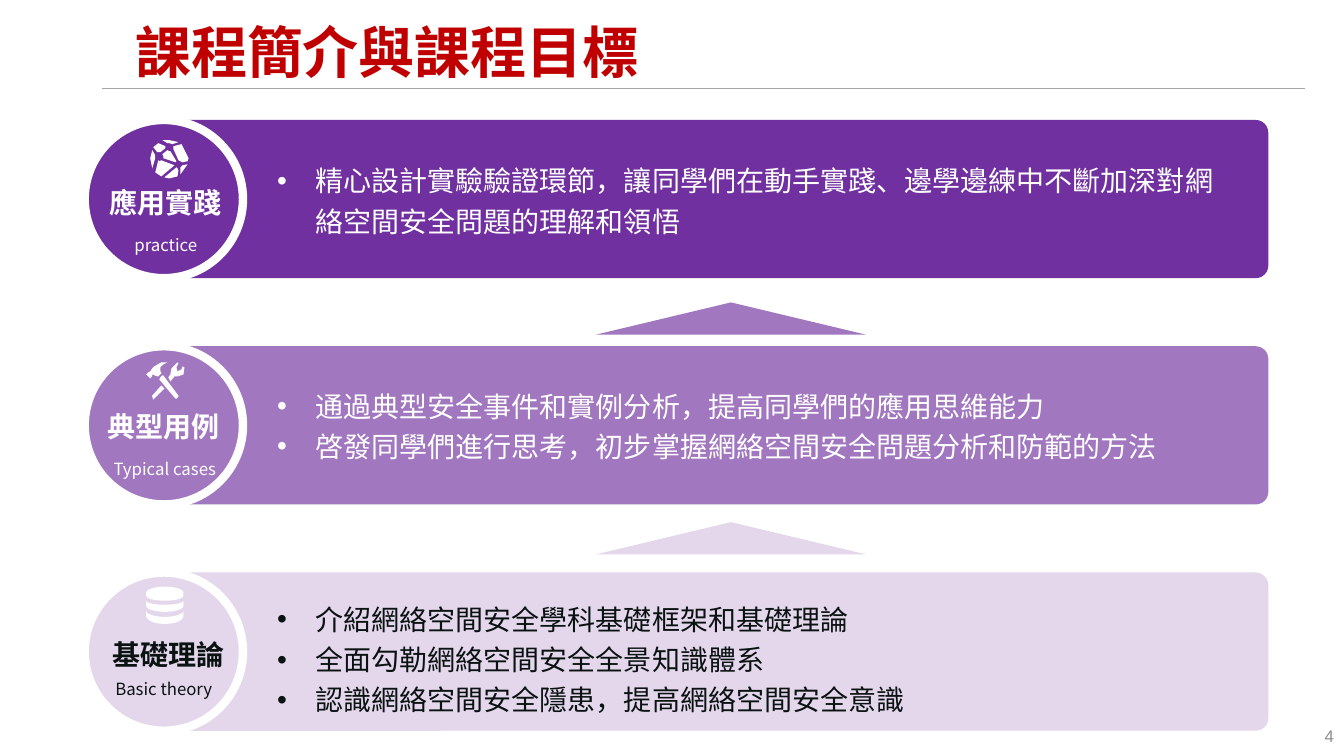
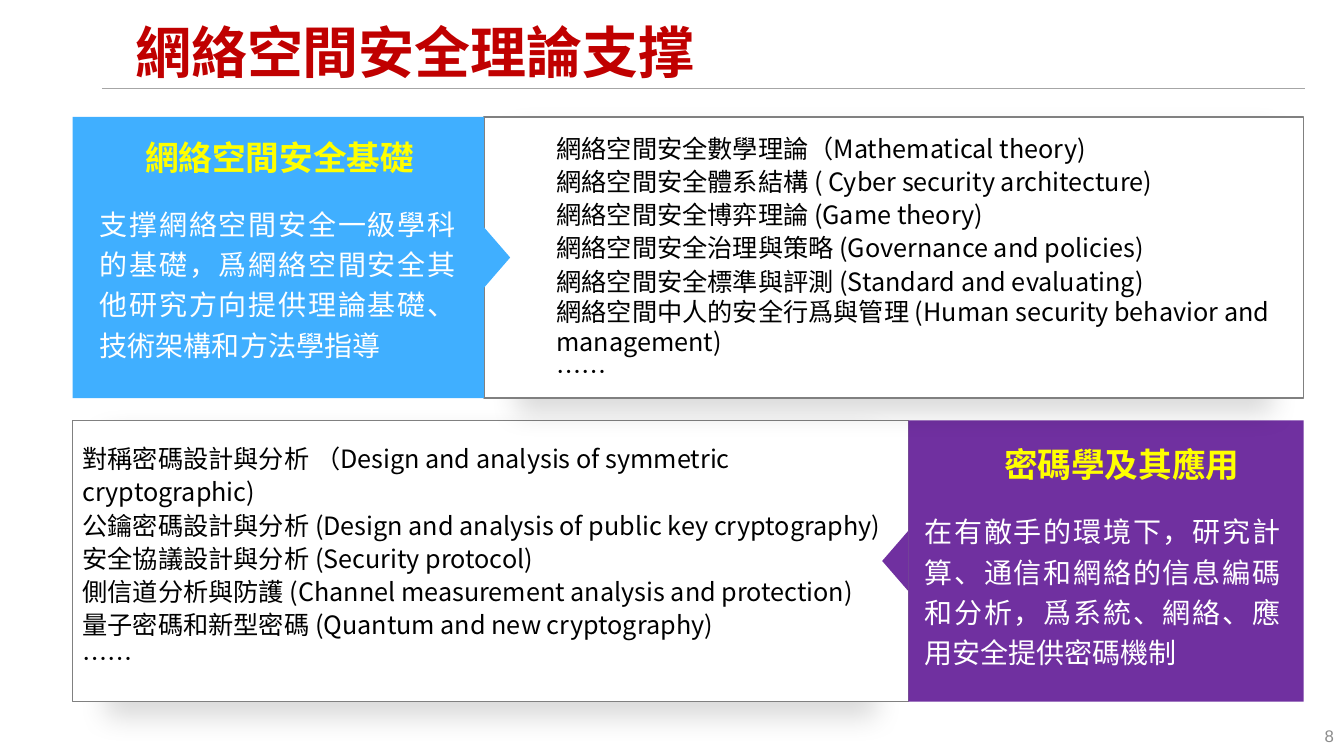
from dataclasses import dataclass
from math import cos, pi, sin

from lxml.etree import SubElement
from pptx import Presentation
from pptx.dml.color import RGBColor
from pptx.enum.shapes import MSO_CONNECTOR, MSO_SHAPE
from pptx.enum.text import MSO_ANCHOR, MSO_AUTO_SIZE, PP_ALIGN
from pptx.oxml.ns import qn
from pptx.util import Inches, Pt

SANS, LATIN = "Noto Sans CJK SC", "Arial"
RED, PURPLE, MAUVE, LILAC = "C00000", "7030A0", "A177BF", "E4D7EC"
BLUE, YELLOW, WHITE, BLACK, INK = "40AFFF", "FFFF00", "FFFFFF", "000000", "0A1312"
RULE_GREY, FRAME_GREY, NUMBER_GREY = "A6A6A6", "808080", "8C8C8C"
LEFT, CENTER, RIGHT, JUSTIFY = (
    PP_ALIGN.LEFT, PP_ALIGN.CENTER, PP_ALIGN.RIGHT, PP_ALIGN.JUSTIFY)


@dataclass
class Box:
    """A region on a grid whose columns and rows are one inch."""
    left: float
    top: float
    width: float
    height: float

    def inner(self, across, down, width, height):
        return Box(self.left + across, self.top + down, width, height)

    def lengths(self):
        return [Inches(n) for n in (self.left, self.top, self.width, self.height)]


SLIDE = Box(0, 0, 13.33, 7.5)


def color(code):
    return RGBColor.from_string(code)


def add_span(para, text, size, code, bold=False, font=SANS):
    span = para.add_run()
    span.text = text
    span.font.size, span.font.bold = Pt(size), bold
    span.font.name = font
    span.font.color.rgb = color(code)
    SubElement(span.font._element, qn("a:ea")).set("typeface", SANS)


def add_bullet(para):
    properties = para._p.get_or_add_pPr()
    properties.set("marL", str(Inches(0.38)))
    properties.set("indent", str(-Inches(0.38)))
    SubElement(properties, qn("a:buFont")).set("typeface", LATIN)
    SubElement(properties, qn("a:buChar")).set("char", "•")


def add_text(page, box, lines, size, code, bold=False, font=SANS, align=LEFT,
             spacing=1.0, tight=0, bullets=False, inset=True, anchor=MSO_ANCHOR.TOP):
    """Write one paragraph a line; the last `tight` ones are single spaced."""
    frame = page.shapes.add_textbox(*box.lengths()).text_frame
    frame.word_wrap = True
    frame.vertical_anchor = anchor
    if not inset:
        frame.margin_left = frame.margin_right = 0
        frame.margin_top = frame.margin_bottom = 0
    for index, line in enumerate(lines):
        para = frame.add_paragraph() if index else frame.paragraphs[0]
        if bullets:
            add_bullet(para)
        para.alignment = align
        para.line_spacing = spacing if index < len(lines) - tight else 1.0
        add_span(para, line, size, code, bold, font)


def add_block(page, kind, box, fill, line=None, line_width=1):
    block = page.shapes.add_shape(kind, *box.lengths())
    block.shadow.inherit = False
    block.fill.solid()
    block.fill.fore_color.rgb = color(fill)
    if line:
        block.line.color.rgb = color(line)
        block.line.width = Pt(line_width)
    else:
        block.line.fill.background()
    return block


def add_soft_shadow(block):
    effects = block._element.spPr.find(qn("a:effectLst"))
    shadow = SubElement(effects, qn("a:outerShdw"), blurRad=str(Pt(20)), dist=str(Pt(10)),
                        dir="5400000", sx="92000", algn="b", rotWithShape="0")
    tint = SubElement(shadow, qn("a:srgbClr"), val=BLACK)
    SubElement(tint, qn("a:alpha"), val="15000")


def add_page(deck, title, number):
    page = deck.slides.add_slide(deck.slide_layouts[5])
    rule = page.shapes.add_connector(
        MSO_CONNECTOR.STRAIGHT, Inches(1.01), Inches(0.88), Inches(12.94), Inches(0.88))
    rule.line.color.rgb = color(RULE_GREY)
    rule.line.width = Pt(1)
    SubElement(rule._element.spPr, qn("a:effectLst"))

    heading = page.shapes.title
    heading.left, heading.top, heading.width, heading.height = (
        SLIDE.inner(1.24, 0.15, 11.18, 0.79).lengths())
    frame = heading.text_frame
    frame.auto_size = MSO_AUTO_SIZE.NONE
    frame.vertical_anchor = MSO_ANCHOR.MIDDLE
    para = frame.paragraphs[0]
    para.alignment, para.line_spacing = LEFT, 0.9
    add_span(para, title, 40, RED, True)

    add_text(page, SLIDE.inner(10.33, 7.1, 3, 0.4), [number], 12, NUMBER_GREY,
             font=LATIN, align=RIGHT, anchor=MSO_ANCHOR.MIDDLE)
    return page


# Icon outlines, in hundredths of a column from the icon's corner.
GLOBE = [
    [(9, 12), (10, 12), (15, 8), (15, 7), (15, 6), (8, 3), (3, 7), (7, 12)],
    [(5, 16), (5, 15), (2, 10), (0, 18), (2, 28), (5, 18)],
    [(19, 3), (22, 4), (28, 2), (19, 0), (12, 0), (17, 3)],
    [(25, 22), (26, 21), (20, 11), (19, 11), (17, 10), (12, 14), (13, 16), (13, 18)],
    [(30, 27), (30, 30), (30, 34), (37, 24), (32, 25)],
    [(24, 25), (11, 20), (9, 21), (8, 20), (5, 32), (11, 36)],
    [(31, 4), (23, 6), (23, 7), (23, 9), (28, 20), (32, 22), (37, 21), (38, 18)],
    [(26, 27), (14, 37), (19, 38), (27, 36), (28, 30), (27, 28)],
]
TOOLS = [
    [(6, 12), (11, 14), (12, 14), (15, 11), (15, 10), (14, 9), (14, 5), (17, 2),
     (21, 0), (15, 0), (8, 4), (6, 6), (4, 9), (2, 10), (0, 12), (3, 15), (4, 16), (6, 14)],
    [(17, 13), (16, 13), (14, 15), (13, 17), (29, 36), (30, 36), (32, 34), (32, 33)],
    [(38, 5), (36, 4), (35, 7), (31, 9), (30, 5), (32, 1), (31, 0), (25, 6),
     (24, 12), (22, 15), (24, 19), (28, 14), (31, 14), (37, 12)],
    [(6, 33), (6, 34), (7, 37), (8, 36), (18, 26), (15, 23)],
]


def arc(level, bulge, steps=16):
    angles = [pi * step / steps for step in range(steps + 1)]
    return [(18.5 - 18.5 * cos(angle), level + bulge * sin(angle)) for angle in angles]


DISKS = [arc(top, rise) + arc(bottom, sag)[::-1]
         for top, rise, bottom, sag in ((6, -6, 9, 5), (14, 4, 19, 6), (24, 6, 29, 8))]


def add_icon(page, outlines, box):
    scaled = [[(10 * x, 10 * y) for x, y in outline] for outline in outlines]
    builder = page.shapes.build_freeform(*scaled[0][0], scale=Inches(0.001))
    for index, outline in enumerate(scaled):
        if index:
            builder.move_to(*outline[0])
        builder.add_line_segments(outline[1:], close=True)
    icon = builder.convert_to_shape(Inches(box.left), Inches(box.top))
    icon.shadow.inherit = False
    icon.fill.solid()
    icon.fill.fore_color.rgb = color(WHITE)
    icon.line.fill.background()


@dataclass
class Level:
    name: str
    caption: str
    points: list
    fill: str
    ink: str
    icon: list
    icon_at: tuple
    name_at: tuple
    caption_at: tuple
    points_top: float


LEVELS = [
    Level("應用實踐", "practice",
          ["精心設計實驗驗證環節，讓同學們在動手實踐、邊學邊練中不斷加深對網絡空間安全問題的理解和領悟"],
          PURPLE, WHITE, GLOBE, (0.65, 0.2), (0.02, 0.6), (0.02, 1.09), 0.32),
    Level("典型用例", "Typical cases",
          ["通過典型安全事件和實例分析，提高同學們的應用思維能力",
           "啓發同學們進行思考，初步掌握網絡空間安全問題分析和防範的方法"],
          MAUVE, WHITE, TOOLS, (0.61, 0.16), (0, 0.58), (0.01, 1.07), 0.31),
    Level("基礎理論", "Basic theory",
          ["介紹網絡空間安全學科基礎框架和基礎理論", "全面勾勒網絡空間安全全景知識體系",
           "認識網絡空間安全隱患，提高網絡空間安全意識"],
          LILAC, INK, DISKS, (0.61, 0.14), (0.05, 0.6), (0, 1), 0.18),
]


def add_level(page, box, level):
    side = box.height
    bar = add_block(page, MSO_SHAPE.ROUNDED_RECTANGLE,
                    box.inner(0.47, 0, box.width - 0.47, side), level.fill)
    bar.adjustments[0] = 0.08
    add_block(page, MSO_SHAPE.OVAL, box.inner(0, 0, side, side), level.fill, WHITE, 6)
    add_icon(page, level.icon, box.inner(*level.icon_at, 0.38, 0.38))
    add_text(page, box.inner(*level.name_at, side, 0.44), [level.name], 20, level.ink,
             bold=True, align=CENTER)
    add_text(page, box.inner(*level.caption_at, side, 0.3), [level.caption], 12, level.ink,
             align=CENTER)
    add_text(page, box.inner(1.81, level.points_top, 9.75, 1.25), level.points, 20,
             level.ink, spacing=1.2, bullets=True)


def add_goals_page(deck):
    page = add_page(deck, "課程簡介與課程目標", "4")
    for top, fill in ((3, MAUVE), (5.18, LILAC)):
        add_block(page, MSO_SHAPE.ISOSCELES_TRIANGLE, SLIDE.inner(5.91, top, 2.68, 0.32), fill)
    stack = SLIDE.inner(0.84, 1.19, 11.74, 6.06)
    side = 1.57
    pitch = (stack.height - side) / (len(LEVELS) - 1)
    for index, level in enumerate(LEVELS):
        add_level(page, stack.inner(0, index * pitch, stack.width, side), level)


@dataclass
class Topic:
    heading: str
    summary: str
    items: list
    fill: str
    panel_width: float
    panel_on_right: bool
    heading_at: tuple
    summary_at: tuple
    items_at: tuple
    items_width: float
    tight: int = 0


FOUNDATIONS = Topic(
    "網絡空間安全基礎",
    "支撑網絡空間安全一級學科的基礎，爲網絡空間安全其他研究方向提供理論基礎、技術架構和方法學指導",
    ["網絡空間安全數學理論（Mathematical theory)",
     "網絡空間安全體系結構 ( Cyber security architecture)",
     "網絡空間安全博弈理論 (Game theory)",
     "網絡空間安全治理與策略 (Governance and policies)",
     "網絡空間安全標準與評測 (Standard and evaluating)",
     "網絡空間中人的安全行爲與管理 (Human security behavior and management)",
     "……"],
    BLUE, 4.08, False, (0.72, 0.2), (0.27, 0.83), (4.7, 0.08), 7.49, tight=2)
CRYPTOGRAPHY = Topic(
    "密碼學及其應用",
    "在有敵手的環境下，研究計算、通信和網絡的信息編碼和分析，爲系統、網絡、應用安全提供密碼機制",
    ["對稱密碼設計與分析 （Design and analysis of symmetric cryptographic)",
     "公鑰密碼設計與分析 (Design and analysis of public key cryptography)",
     "安全協議設計與分析 (Security protocol)",
     "側信道分析與防護 (Channel measurement analysis and protection)",
     "量子密碼和新型密碼 (Quantum and new cryptography)",
     "……"],
    PURPLE, 3.92, True, (0.95, 0.23), (0.16, 0.87), (0, 0.15), 8.32)


def add_topic(page, box, topic):
    """Coloured panel pointing at a framed list of items."""
    rest = box.width - topic.panel_width
    panel_left, frame_left = (rest, 0) if topic.panel_on_right else (0, topic.panel_width)
    frame = add_block(page, MSO_SHAPE.RECTANGLE, box.inner(frame_left, 0, rest, box.height),
                      WHITE, FRAME_GREY)
    add_soft_shadow(frame)

    panel = box.inner(panel_left, 0, topic.panel_width, box.height)
    add_block(page, MSO_SHAPE.RECTANGLE, panel, topic.fill)
    add_text(page, panel.inner(*topic.summary_at, 3.53, 1.6), [topic.summary], 20, WHITE,
             font=LATIN, align=JUSTIFY, spacing=1.2, inset=False)
    add_text(page, panel.inner(*topic.heading_at, 3.04, 0.4), [topic.heading], 24, YELLOW,
             bold=True, font=LATIN, inset=False)

    base, reach = 0.6, 0.26
    tip_center = -reach / 2 if topic.panel_on_right else panel.width + reach / 2
    pointer = add_block(
        page, MSO_SHAPE.ISOSCELES_TRIANGLE,
        panel.inner(tip_center - base / 2, (panel.height - reach) / 2, base, reach), topic.fill)
    pointer.rotation = 270 if topic.panel_on_right else 90
    add_text(page, box.inner(*topic.items_at, topic.items_width, 2.6), topic.items, 18, BLACK,
             spacing=1.1, tight=topic.tight)


def add_theory_page(deck):
    page = add_page(deck, "網絡空間安全理論支撑", "8")
    for top, topic in ((4.17, CRYPTOGRAPHY), (1.16, FOUNDATIONS)):
        add_topic(page, SLIDE.inner(0.72, top, 12.21, 2.79), topic)


def main():
    deck = Presentation()
    deck.slide_width, deck.slide_height = Inches(SLIDE.width), Inches(SLIDE.height)
    add_goals_page(deck)
    add_theory_page(deck)
    deck.save("out.pptx")


if __name__ == "__main__":
    main()
